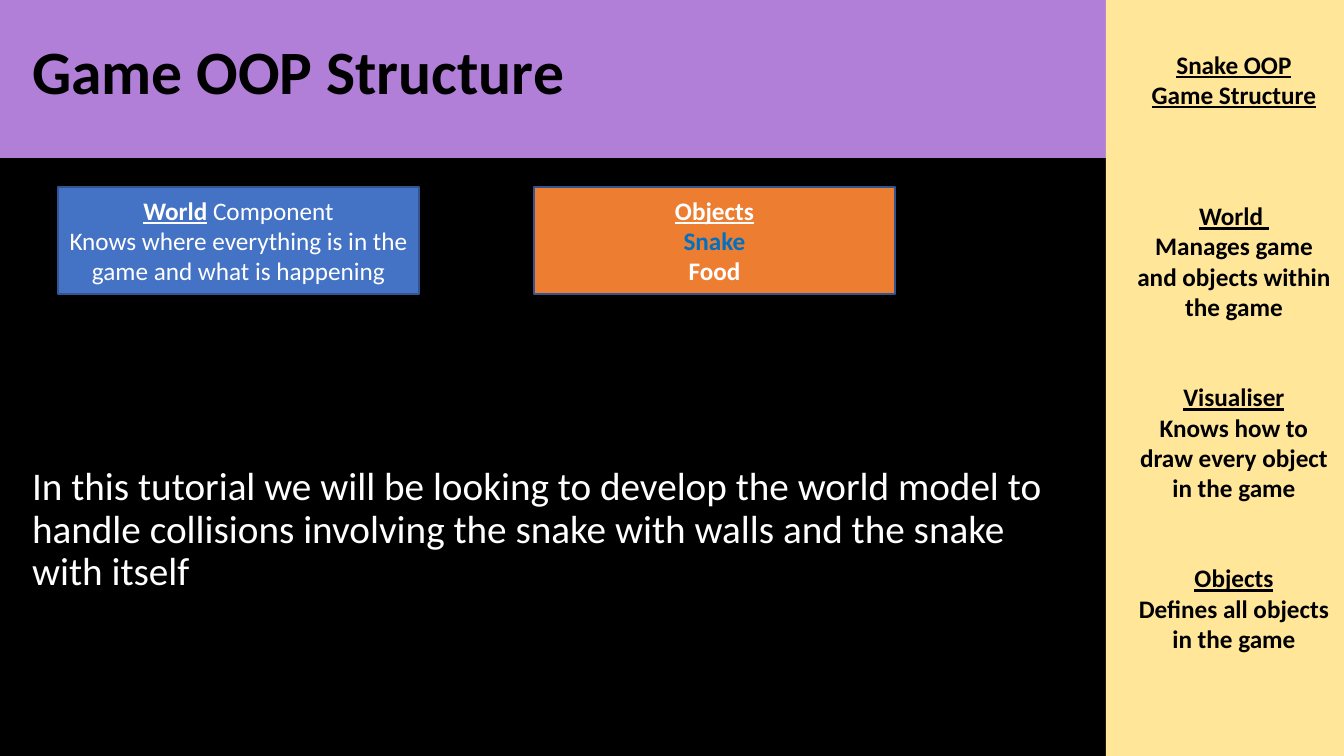
"""Builds the slide on the object-oriented structure of a snake game."""
from pptx import Presentation
from pptx.dml.color import RGBColor
from pptx.enum.shapes import MSO_SHAPE
from pptx.enum.text import MSO_ANCHOR, MSO_AUTO_SIZE, PP_ALIGN
from pptx.util import Pt
from lxml.etree import SubElement
from pptx.oxml.ns import qn

PX = 914400 / 100.8
BLACK, WHITE = "000000", "FFFFFF"


def color(hex_code):
    return RGBColor.from_string(hex_code)


def write(shape, paragraphs, size=18, ink=WHITE, bold=False, align=PP_ALIGN.CENTER,
          anchor=MSO_ANCHOR.MIDDLE, spacing=1.0):
    frame = shape.text_frame
    frame.word_wrap = True
    frame.auto_size = MSO_AUTO_SIZE.NONE
    frame.vertical_anchor = anchor
    for index, (gap, runs) in enumerate(paragraphs):
        paragraph = frame.add_paragraph() if index else frame.paragraphs[0]
        paragraph.alignment = align
        paragraph.line_spacing = spacing
        paragraph.space_before = Pt(gap)
        for text, style in runs:
            run = paragraph.add_run()
            run.text = text
            run.font.name = "Calibri"
            run.font.size = Pt(size)
            run.font.bold = style.get("bold", bold)
            run.font.underline = style.get("underline", False)
            run.font.color.rgb = color(style.get("ink", ink))


deck = Presentation()
deck.slide_width, deck.slide_height = round(1344 * PX), round(756 * PX)
slide = deck.slides.add_slide(deck.slide_layouts[1])
slide.background.fill.solid()
slide.background.fill.fore_color.rgb = color(BLACK)

heading = {"bold": True, "underline": True}
world = [(0, [("World", heading), (" Component", {})]),
         (0, [("Knows where everything is in the game and what is happening", {})])]
objects = [(0, [("Objects", heading)]),
           (0, [("Snake", {"bold": True, "ink": "0070C0"})]),
           (0, [("Food", {"bold": True})])]

for left, top, width, height, fill, border, content in [
    (0, 0, 1107, 158, "B17ED8", None, []),
    (1106, 0, 238, 756, "FFE699", None, []),
    (58, 187, 361, 107, "4472C4", "325491", world),
    (534, 187, 361, 107, "ED7D31", "325491", objects),
]:
    panel = slide.shapes.add_shape(
        MSO_SHAPE.RECTANGLE, *(round(v * PX) for v in (left, top, width, height)))
    panel.shadow.inherit = False
    panel.fill.solid()
    panel.fill.fore_color.rgb = color(fill)
    if border:
        panel.line.color.rgb = color(border)
        panel.line.width = Pt(1)
    else:
        panel.line.fill.background()
    write(panel, content)

summary = [(0, [("Snake OOP", heading)]), (0, [("Game Structure", heading)])]
for gap, part, role in [
    (65, "World ", "Manages game and objects within the game"),
    (43, "Visualiser", "Knows how to draw every object in the game"),
    (43, "Objects", "Defines all objects in the game"),
]:
    summary += [(gap, [(part, heading)]), (0, [(role, {})])]
sidebar = slide.shapes.add_textbox(*(round(v * PX) for v in (1124, 44, 220, 621)))
write(sidebar, summary, ink=BLACK, bold=True, anchor=MSO_ANCHOR.TOP)

title, body = slide.placeholders
for holder, top, height in [(title, 2, 146), (body, 462, 220)]:
    holder.left, holder.top = round(22 * PX), round(top * PX)
    holder.width, holder.height = round(1059 * PX), round(height * PX)
    slide.shapes.element.append(holder.element)

write(title, [(0, [("Game OOP Structure", {})])], size=44, ink=BLACK, bold=True,
      align=PP_ALIGN.LEFT, spacing=0.9)
write(body, [(10, [("In this tutorial we will be looking to develop the world model to "
                    "handle collisions involving the snake with walls and the snake "
                    "with itself", {})])],
      size=28, align=PP_ALIGN.LEFT, anchor=MSO_ANCHOR.TOP, spacing=0.9)
tutorial_format = body.text_frame.paragraphs[0]._p.get_or_add_pPr()
tutorial_format.set("marL", "0")
tutorial_format.set("indent", "0")
SubElement(tutorial_format, qn("a:buNone"))

deck.save("out.pptx")
